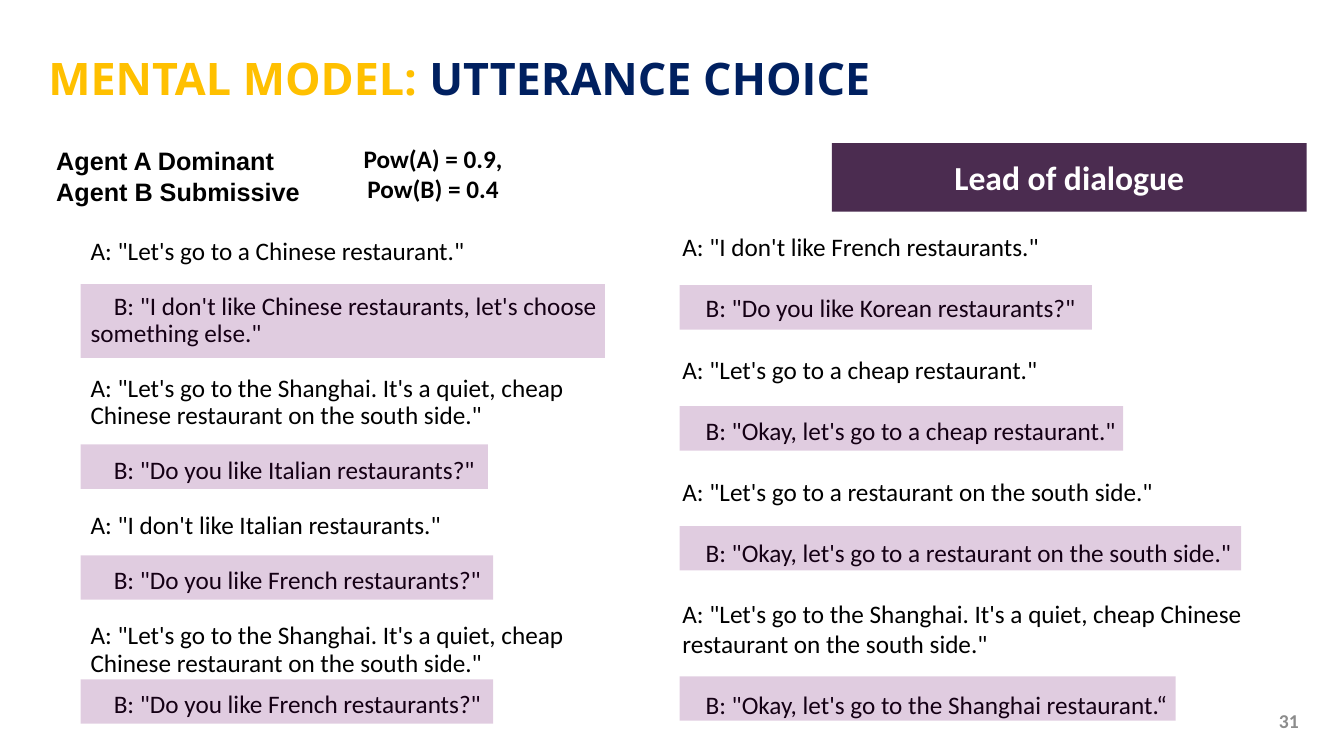
"""Build the slide on utterance choice in a mental model of dialogue."""
import pptx
import pptx.util
import pptx.dml.color
import pptx.enum.shapes
import pptx.enum.text
import pptx.oxml
import pptx.oxml.ns

Inches = pptx.util.Inches
Pt = pptx.util.Pt
ALIGN = pptx.enum.text.PP_ALIGN
ANCHOR = pptx.enum.text.MSO_ANCHOR
COLORS = {"gold": "FFC000", "navy": "002060", "plum": "4B2C50",
          "band": "660066", "black": "000000", "white": "FFFFFF", "gray": "8C8C8C"}
SHANGHAI = "A: \"Let's go to the Shanghai. It's a quiet, cheap Chinese restaurant on the south side.\""
FRENCH = 'B: "Do you like French restaurants?"'
LEFT = [
    "A: \"Let's go to a Chinese restaurant.\"",
    "B: \"I don't like Chinese restaurants, let's choose something else.\"",
    SHANGHAI,
    'B: "Do you like Italian restaurants?"',
    "A: \"I don't like Italian restaurants.\"",
    FRENCH,
    SHANGHAI,
    FRENCH,
]
RIGHT = [
    "A: \"I don't like French restaurants.\"",
    'B: "Do you like Korean restaurants?"',
    "A: \"Let's go to a cheap restaurant.\"",
    "B: \"Okay, let's go to a cheap restaurant.\"",
    "A: \"Let's go to a restaurant on the south side.\"",
    "B: \"Okay, let's go to a restaurant on the south side.\"",
    SHANGHAI,
    "B: \"Okay, let's go to the Shanghai restaurant.“",
]
BANDS = [
    (0.8, 2.82, 5.2, 0.73), (0.8, 4.41, 4.04, 0.44),
    (0.8, 5.51, 4.09, 0.44), (0.8, 6.74, 4.09, 0.44),
    (6.74, 2.83, 4.09, 0.44), (6.74, 4.03, 4.4, 0.44),
    (6.74, 5.22, 5.57, 0.44), (6.74, 6.71, 4.92, 0.44),
]


def paint(target, color):
    target.rgb = pptx.dml.color.RGBColor.from_string(COLORS[color])


def style(font, size, color, name="Calibri", bold=False):
    font.size, font.name, font.bold = Pt(size), name, bold
    paint(font.color, color)


def write(frame, lines, size, color, name="Calibri", bold=False,
          align=ALIGN.LEFT, anchor=ANCHOR.MIDDLE):
    frame.word_wrap = True
    frame.vertical_anchor = anchor
    frame.text = "\n".join(lines)
    for par in frame.paragraphs:
        par.alignment = align
        style(par.font, size, color, name, bold)


def add_text(slide, box, lines, size, color, **look):
    frame = slide.shapes.add_textbox(*map(Inches, box)).text_frame
    write(frame, lines, size, color, **look)
    return frame


def add_box(slide, box, color, alpha=None):
    kind = pptx.enum.shapes.MSO_SHAPE.RECTANGLE
    shape = slide.shapes.add_shape(kind, *map(Inches, box))
    shape.shadow.inherit = False
    shape.line.fill.background()
    shape.fill.solid()
    paint(shape.fill.fore_color, color)
    if alpha:
        tone = shape.fill._xPr.find(".//" + pptx.oxml.ns.qn("a:srgbClr"))
        tone.append(pptx.oxml.parse_xml(
            f'<a:alpha {pptx.oxml.ns.nsdecls("a")} val="{alpha * 1000}"/>'))
    return shape


def add_talk(slide, box, lines, gap, space):
    frame = add_text(slide, box, lines, 18, "black", anchor=ANCHOR.TOP)
    for i, par in enumerate(frame.paragraphs):
        par.line_spacing = space
        par.space_before = Pt(gap if i else 0)
        if lines[i].startswith("B:"):
            par._p.get_or_add_pPr().set("indent", str(Inches(0.23)))
    return frame


def add_title(slide, box, parts):
    title = slide.shapes.title
    title.left, title.top, title.width, title.height = map(Inches, box)
    frame = title.text_frame
    frame.word_wrap = True
    frame.vertical_anchor = ANCHOR.MIDDLE
    par = frame.paragraphs[0]
    par.alignment = ALIGN.LEFT
    par.line_spacing = 0.9
    for text, color in parts:
        run = par.add_run()
        run.text = text
        style(run.font, 32, color, "Open Sans", True)


def main():
    deck = pptx.Presentation()
    deck.slide_width, deck.slide_height = Inches(13.33), Inches(7.5)
    slide = deck.slides.add_slide(deck.slide_layouts[5])
    add_title(slide, (0.38, 0.22, 11.5, 1.16),
              [("MENTAL MODEL: ", "gold"), ("UTTERANCE CHOICE", "navy")])
    lead = add_box(slide, (8.25, 1.42, 4.71, 0.68), "plum")
    write(lead.text_frame, ["Lead of dialogue"], 24, "white", bold=True, align=ALIGN.CENTER)
    add_text(slide, (3.29, 1.42, 2.01, 0.6), ["Pow(A) = 0.9,\vPow(B) = 0.4"],
             18, "black", bold=True, align=ALIGN.CENTER)
    add_text(slide, (0.46, 1.47, 3.83, 0.55), ["Agent A Dominant", "Agent B Submissive"],
             18, "black", name="Arial", bold=True)
    talk = add_talk(slide, (0.8, 2.32, 5.31, 5.11), LEFT, 19.8, 0.9)
    talk.paragraphs[-1].space_before = Pt(10)
    add_talk(slide, (6.67, 2.25, 6.26, 5.25), RIGHT, 22, 1.0)
    for band in BANDS:
        add_box(slide, band, "band", 20)
    add_text(slide, (9.98, 6.95, 3, 0.4), ["31"], 14, "gray", bold=True, align=ALIGN.RIGHT)
    deck.save("out.pptx")


if __name__ == "__main__":
    main()
